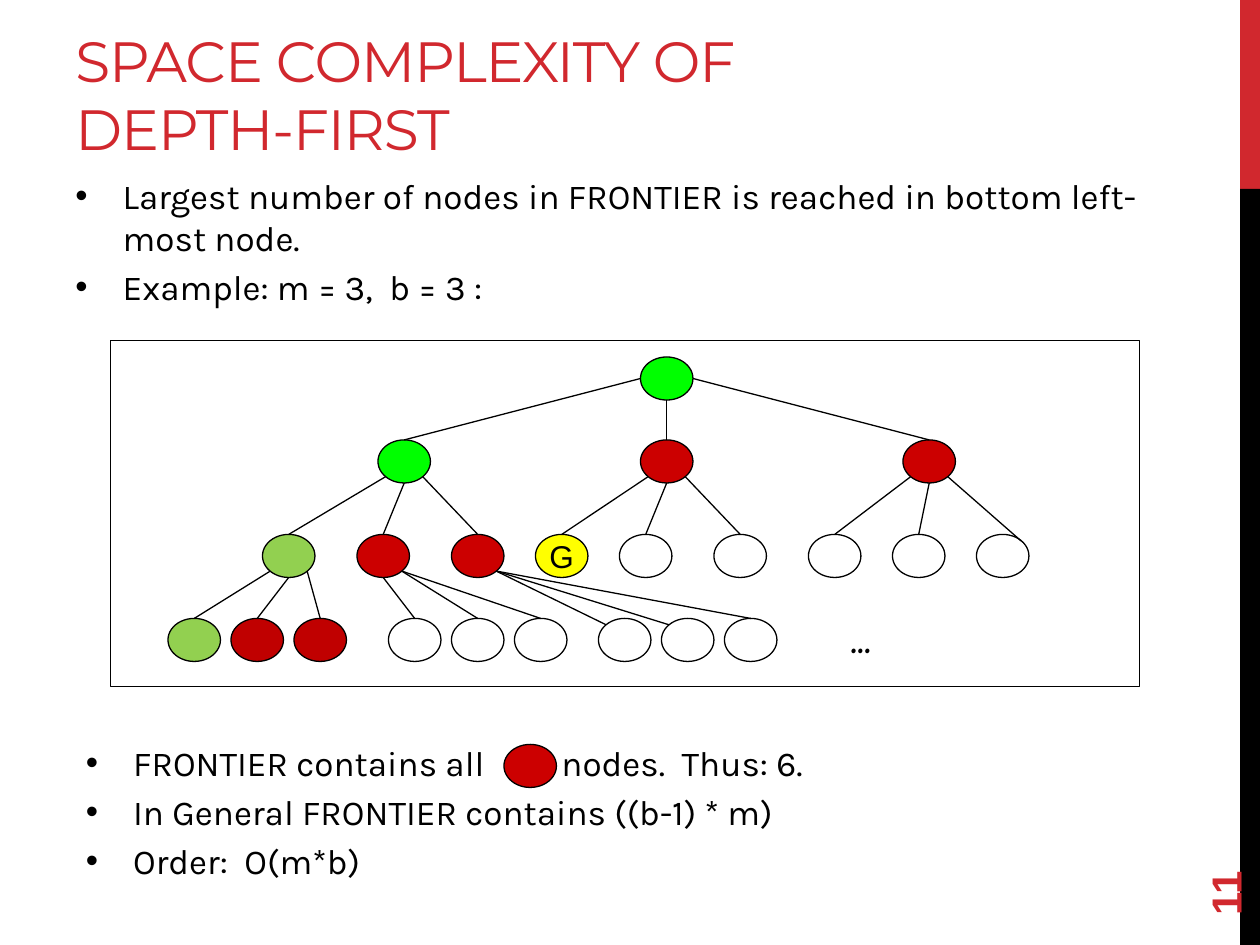
import pptx
import pptx.util
import pptx.dml.color
import pptx.enum.shapes
import pptx.enum.text
import pptx.oxml.ns
import lxml.etree

COLORS = {
    "accent": "D1282E", "black": "000000", "white": "FFFFFF", "path": "00FF00",
    "frontier": "CC0000", "goal": "FFFF00", "leaf_path": "92D050", "leaf_frontier": "C00000",
}
SHAPES = pptx.enum.shapes.MSO_SHAPE
ANCHORS = pptx.enum.text.MSO_ANCHOR

presentation = pptx.Presentation()
presentation.slide_width = pptx.util.Inches(10)
presentation.slide_height = pptx.util.Inches(7.5)
slide = presentation.slides.add_slide(presentation.slide_layouts[6])
COLUMN = presentation.slide_width / 120
ROW = presentation.slide_height / 90
NODE_WIDTH, NODE_HEIGHT = 5, 4.1


def add_shape(kind, left, top, width, height, fill, outlined=True):
    shape = slide.shapes.add_shape(
        kind, int(left * COLUMN), int(top * ROW), int(width * COLUMN), int(height * ROW))
    shape.shadow.inherit = False
    shape.fill.solid()
    shape.fill.fore_color.rgb = pptx.dml.color.RGBColor.from_string(COLORS[fill])
    if outlined:
        shape.line.color.rgb = pptx.dml.color.RGBColor.from_string(COLORS["black"])
        shape.line.width = pptx.util.Pt(0.75)
    else:
        shape.line.fill.background()
    return shape


def add_text(left, top, width, height, lines, font, size, color="black", bold=False, bulleted=False):
    box = slide.shapes.add_textbox(
        int(left * COLUMN), int(top * ROW), int(width * COLUMN), int(height * ROW))
    box.text_frame.word_wrap = True
    box.text_frame.text = "\n".join(lines)
    for paragraph in box.text_frame.paragraphs:
        for run in paragraph.runs:
            run.font.name = font
            run.font.size = pptx.util.Pt(size)
            run.font.bold = bold
            run.font.color.rgb = pptx.dml.color.RGBColor.from_string(COLORS[color])
        if bulleted:
            paragraph.space_before = pptx.util.Pt(size * 0.2)
            properties = paragraph._p.get_or_add_pPr()
            properties.set("marL", str(int(4.5 * COLUMN)))
            properties.set("indent", str(int(-4.5 * COLUMN)))
            bullet_color = lxml.etree.SubElement(properties, pptx.oxml.ns.qn("a:buClr"))
            lxml.etree.SubElement(bullet_color, pptx.oxml.ns.qn("a:srgbClr"), val=COLORS["black"])
            lxml.etree.SubElement(properties, pptx.oxml.ns.qn("a:buFont"), typeface="Arial")
            lxml.etree.SubElement(properties, pptx.oxml.ns.qn("a:buChar"), char="•")
    return box


add_shape(SHAPES.RECTANGLE, 118.1, 0, 1.9, 18, "accent", outlined=False)
add_shape(SHAPES.RECTANGLE, 118.1, 18, 1.9, 72, "black", outlined=False)
add_shape(SHAPES.RECTANGLE, 10.5, 32.4, 98, 33, "white")

title = add_text(6, 2, 76, 14, ["SPACE COMPLEXITY OF DEPTH-FIRST"], "Montserrat", 32.4, "accent")
title.text_frame.vertical_anchor = ANCHORS.BOTTOM
title.text_frame.paragraphs[0].runs[0]._r.get_or_add_rPr().set("spc", "-60")

slide_number = add_text(108, 77.3, 17.3, 4.8, ["11"], "Arial", 24, "accent", bold=True)
slide_number.rotation = 270
slide_number.text_frame.vertical_anchor = ANCHORS.MIDDLE

add_text(6, 16, 104, 70, [
    "Largest number of nodes in FRONTIER is reached in bottom left-most node.",
    "Example: m = 3,  b = 3 :",
], "Karla", 20, bulleted=True)

LEVEL_TOPS = [34, 41.9, 50.9, 58.9]
LEVELS = [
    [(61, "path")],
    [(36, "path"), (61, "frontier"), (86, "frontier")],
    [(25, "leaf_path"), (34, "frontier"), (43, "frontier"),
     (51, "goal"), (59, "white"), (68, "white"),
     (77, "white"), (85, "white"), (93, "white")],
    [(16, "leaf_path"), (22, "leaf_frontier"), (28, "leaf_frontier"),
     (37, "white"), (43, "white"), (49, "white"),
     (57, "white"), (63, "white"), (69, "white")],
]
for top, level in zip(LEVEL_TOPS, LEVELS):
    for left, fill in level:
        node = add_shape(SHAPES.OVAL, left, top, NODE_WIDTH, NODE_HEIGHT, fill)
        if fill == "goal":
            node.text_frame.text = "G"
            node.text_frame.word_wrap = False
            node.text_frame.vertical_anchor = ANCHORS.MIDDLE
            paragraph = node.text_frame.paragraphs[0]
            paragraph.alignment = pptx.enum.text.PP_ALIGN.CENTER
            font = paragraph.runs[0].font
            font.name = "Arial"
            font.size = pptx.util.Pt(18)
            font.color.rgb = pptx.dml.color.RGBColor.from_string(COLORS["black"])

SITES = {
    "top": (0.5, 0), "top left": (0.15, 0.15), "top right": (0.85, 0.15),
    "left": (0, 0.5), "right": (1, 0.5), "bottom": (0.5, 1),
    "bottom left": (0.15, 0.85), "bottom right": (0.85, 0.85),
}
FAN = ["bottom left", "bottom", "bottom right"]
PARENT_SITES = [
    [["left", "bottom", "right"]],
    [FAN, FAN, FAN],
    [FAN, ["bottom", "bottom right", "bottom right"], ["bottom right"] * 3],
]
CHILD_SITES = {(1, 8): "top right", (2, 6): "top left", (2, 7): "top left"}
for depth, parents in enumerate(PARENT_SITES):
    for parent, sites in enumerate(parents):
        for branch, site in enumerate(sites):
            child = 3 * parent + branch
            ends = []
            for level, index, name in [
                (depth, parent, site),
                (depth + 1, child, CHILD_SITES.get((depth, child), "top")),
            ]:
                across, down = SITES[name]
                ends.append(int((LEVELS[level][index][0] + across * NODE_WIDTH) * COLUMN))
                ends.append(int((LEVEL_TOPS[level] + down * NODE_HEIGHT) * ROW))
            edge = slide.shapes.add_connector(pptx.enum.shapes.MSO_CONNECTOR.STRAIGHT, *ends)
            edge.line.color.rgb = pptx.dml.color.RGBColor.from_string(COLORS["black"])
            edge.line.width = pptx.util.Pt(0.75)
            lxml.etree.SubElement(edge._element.spPr, pptx.oxml.ns.qn("a:effectLst"))

ellipsis = add_text(79.8, 58, 7.2, 5.6, ["..."], "Comic Neue", 22, bold=True)
ellipsis.text_frame.word_wrap = False

conclusions = add_text(7, 70, 104, 14.5, [
    "FRONTIER contains all",
    "In General FRONTIER contains ((b-1) * m)",
    "Order:  O(m*b)",
], "Karla", 20, bulleted=True)
for text, spacing in [(" ", 3900), ("nodes.  Thus: 6.", 0)]:
    run = conclusions.text_frame.paragraphs[0].add_run()
    run.text = text
    run.font.name = "Karla"
    run.font.size = pptx.util.Pt(20)
    run.font.color.rgb = pptx.dml.color.RGBColor.from_string(COLORS["black"])
    run._r.get_or_add_rPr().set("spc", str(spacing))
add_shape(SHAPES.OVAL, 48, 70.9, NODE_WIDTH, NODE_HEIGHT, "frontier")

presentation.save("out.pptx")
